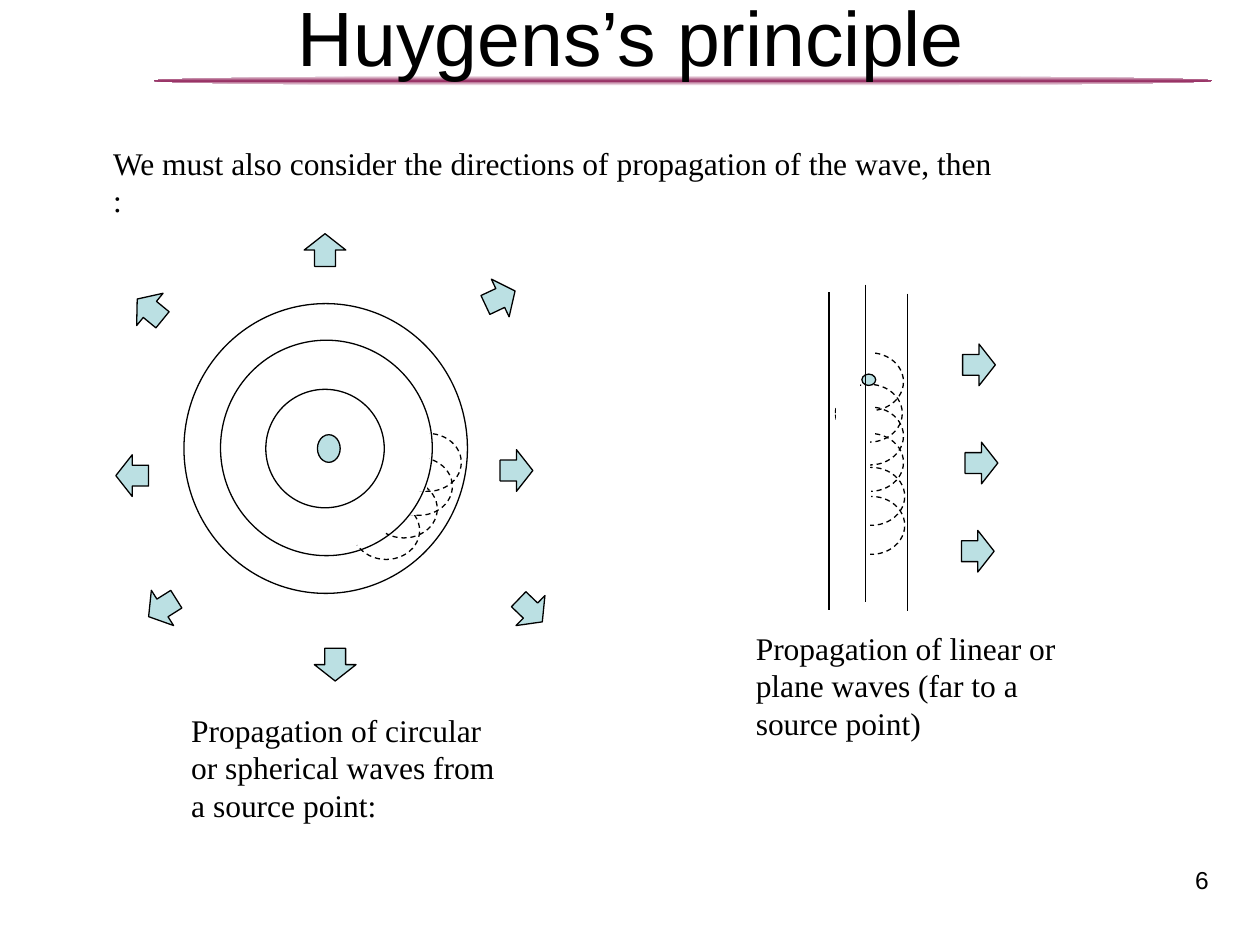
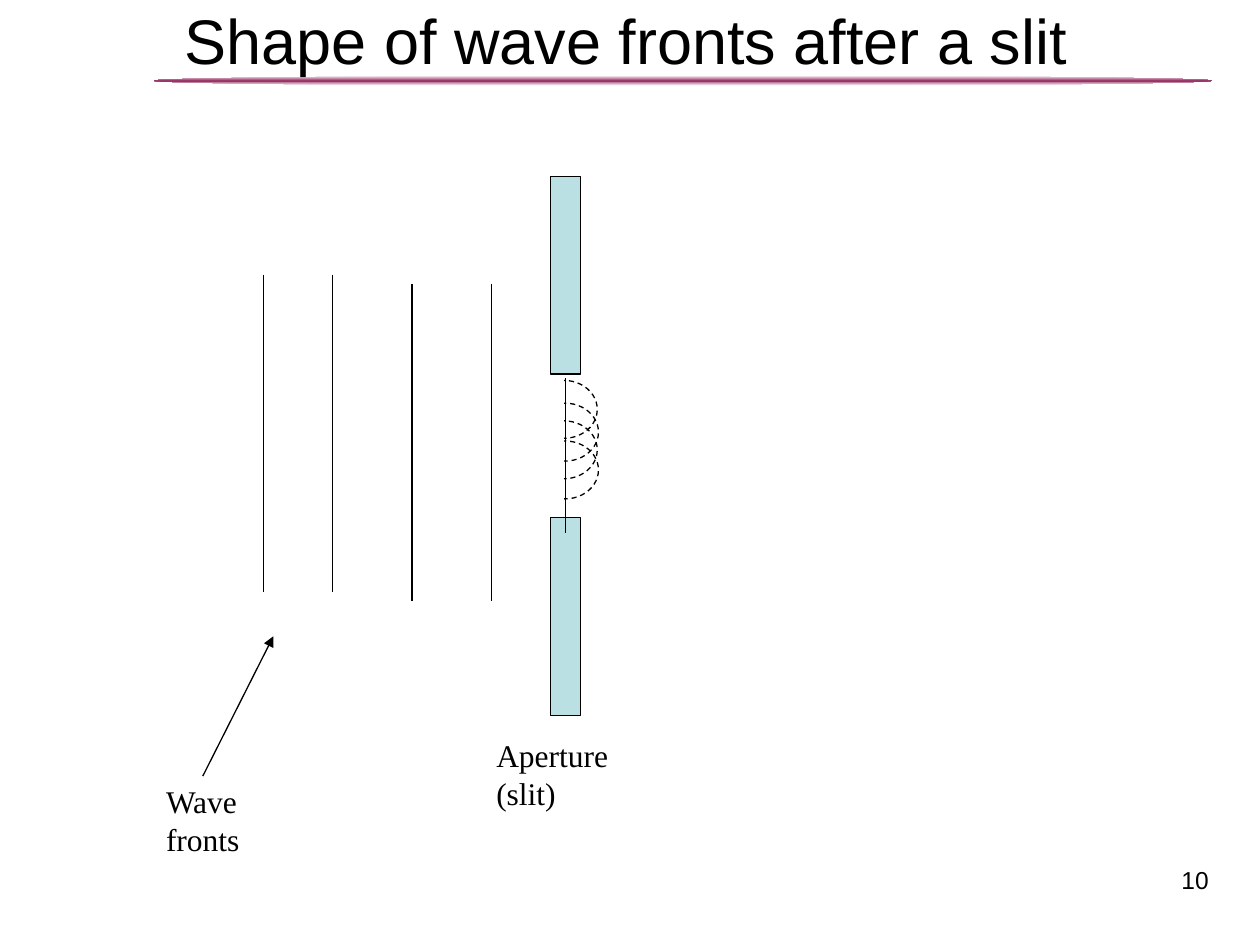
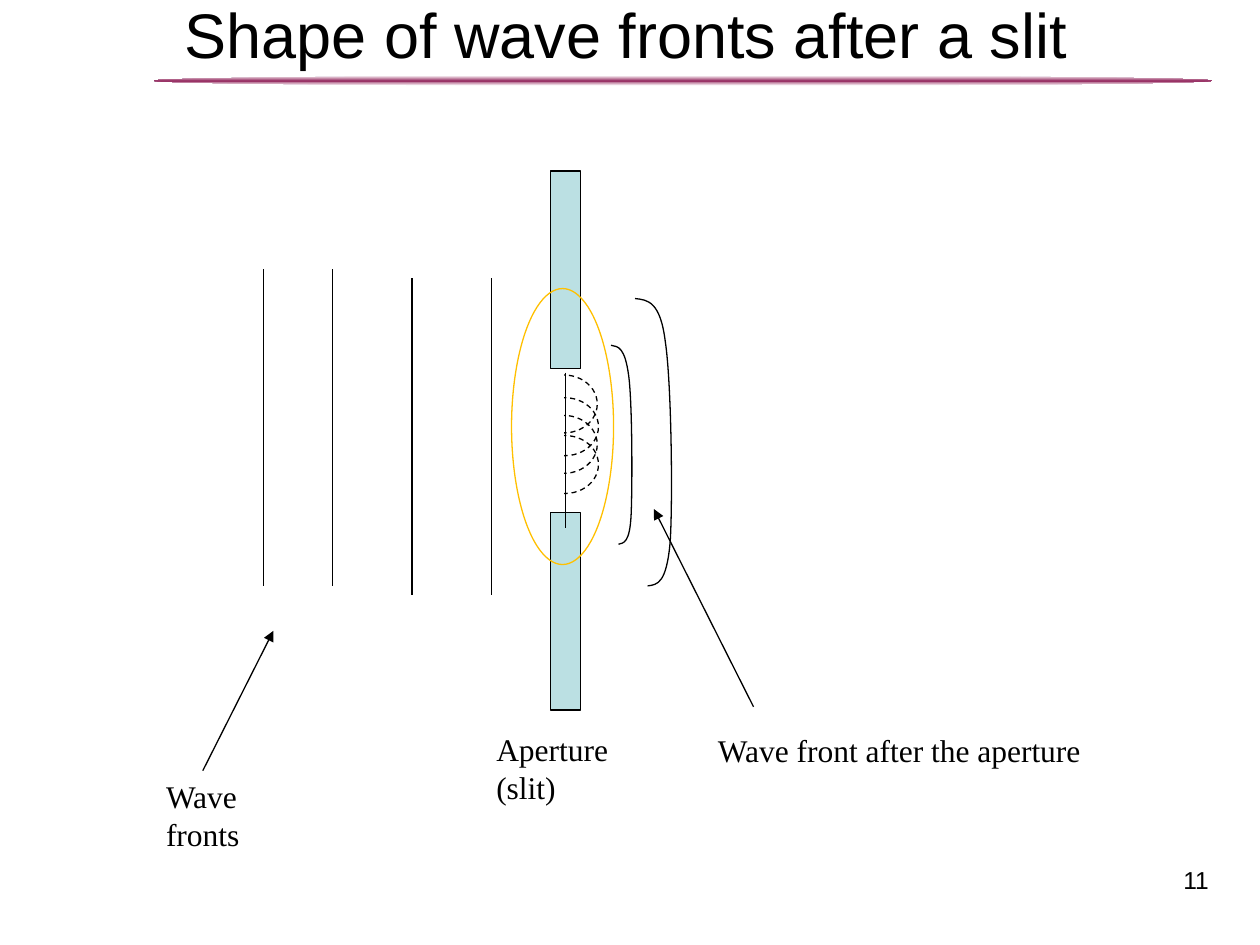
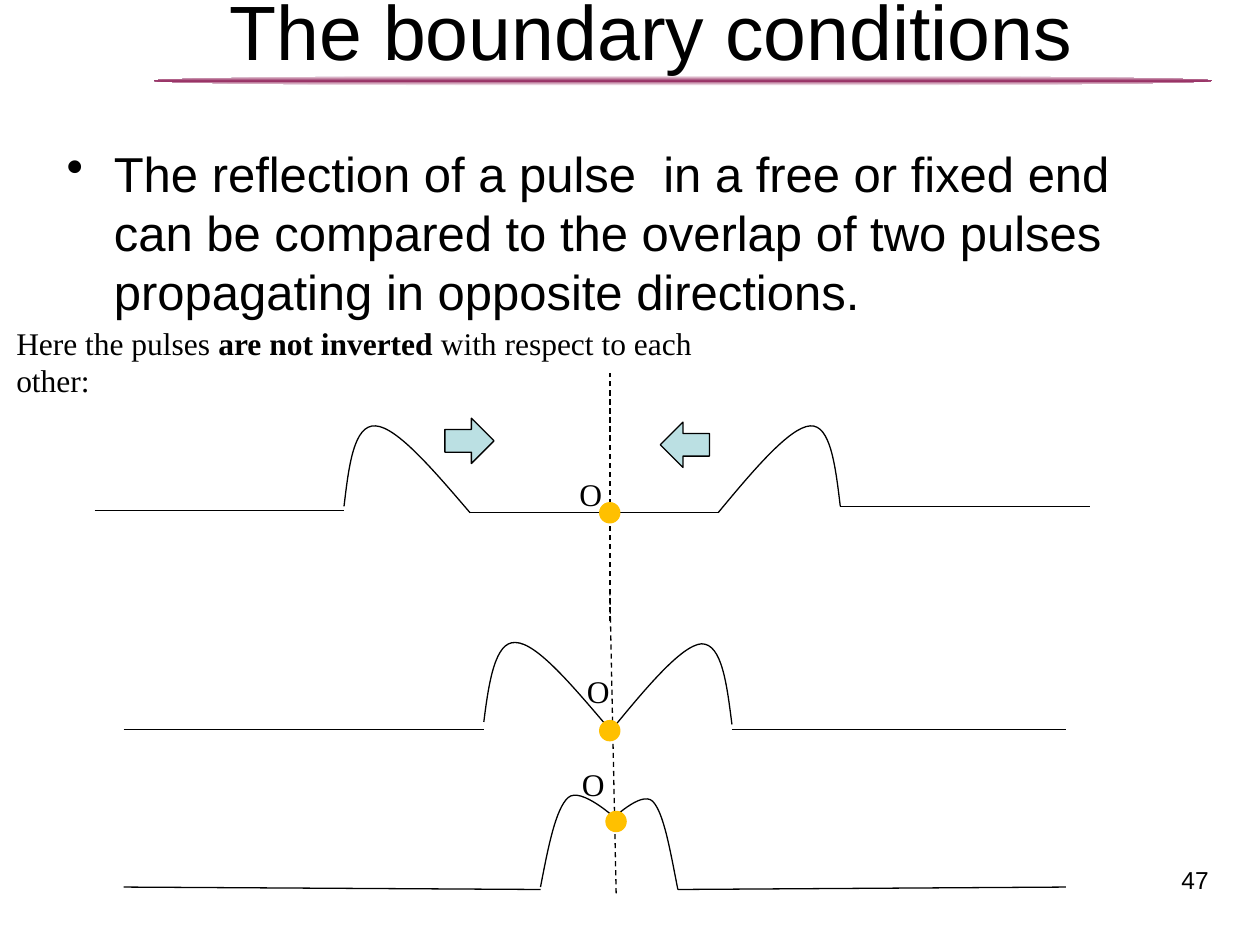
import copy
from dataclasses import dataclass

import pptx
import pptx.dml.color
import pptx.enum.dml
import pptx.enum.shapes
import pptx.enum.text
import pptx.oxml
import pptx.oxml.ns
import pptx.shapes.autoshape
import pptx.shapes.base
import pptx.slide
import pptx.text.text
import pptx.util
from pptx.dml.color import RGBColor
from pptx.util import Pt

# Shared look
BLACK = RGBColor(0x00, 0x00, 0x00)
WHITE = RGBColor(0xFF, 0xFF, 0xFF)
PLUM = RGBColor(0x99, 0x33, 0x66)
PALE_BLUE = RGBColor(0xBB, 0xE0, 0xE3)
AMBER = RGBColor(0xFF, 0xC0, 0x00)
SANS = "Arial"
SERIF = "Times New Roman"
LINE_WIDTH = Pt(0.75)
LABEL_HEIGHT = 28.8

MSO_SHAPE = pptx.enum.shapes.MSO_SHAPE
PP_ALIGN = pptx.enum.text.PP_ALIGN
Point = tuple[float, float]


@dataclass(frozen=True)
class Box:
    """A frame in points."""
    left: float
    top: float
    width: float
    height: float

    def lengths(self) -> tuple[int, int, int, int]:
        return Pt(self.left), Pt(self.top), Pt(self.width), Pt(self.height)


@dataclass(frozen=True)
class Look:
    """Fill and outline of a shape."""
    fill: RGBColor | None = None
    line: RGBColor = BLACK
    dashed: bool = False


@dataclass(frozen=True)
class Segment:
    """A straight line in points."""
    x1: float
    y1: float
    x2: float
    y2: float
    dashed: bool = False
    arrow: bool = False


@dataclass(frozen=True)
class Arrow:
    """A block arrow: corner of its unrotated frame, and rotation."""
    left: float
    top: float
    rotation: float = 0


@dataclass(frozen=True)
class Part:
    """A run of text."""
    text: str
    bold: bool = False


OUTLINE = Look()
DASHED = Look(dashed=True)
FILLED = Look(fill=PALE_BLUE)
COVER = Look(fill=WHITE, line=WHITE)
DOT = Look(fill=AMBER, line=AMBER)
TITLE_RULE = Box(87.8, 43.2, 604.8, 5.8)
PAGE_NUMBER = Box(530, 491, 167.8, 32.4)


# Drawing functions
def draw_shape(slide: pptx.slide.Slide, kind: MSO_SHAPE, box: Box, look: Look,
               rotation: float = 0) -> pptx.shapes.autoshape.Shape:
    shape = slide.shapes.add_shape(kind, *box.lengths())
    shape.rotation = rotation
    style_outline(shape, look)
    return shape


def style_outline(shape: pptx.shapes.autoshape.Shape, look: Look) -> None:
    shape.shadow.inherit = False
    if look.fill is None:
        shape.fill.background()
    else:
        shape.fill.solid()
        shape.fill.fore_color.rgb = look.fill
    style_line(shape, look.line, look.dashed)


def style_line(shape: pptx.shapes.base.BaseShape, color: RGBColor, dashed: bool) -> None:
    shape.line.color.rgb = color
    shape.line.width = LINE_WIDTH
    if dashed:
        shape.line.dash_style = pptx.enum.dml.MSO_LINE.DASH


def draw_segment(slide: pptx.slide.Slide, segment: Segment) -> None:
    connector = slide.shapes.add_connector(
        pptx.enum.shapes.MSO_CONNECTOR.STRAIGHT,
        Pt(segment.x1), Pt(segment.y1), Pt(segment.x2), Pt(segment.y2))
    style_line(connector, BLACK, segment.dashed)
    if segment.arrow:
        tail = pptx.oxml.parse_xml(
            f'<a:tailEnd {pptx.oxml.ns.nsdecls("a")} type="triangle"/>')
        connector.line._get_or_add_ln().append(tail)
    connector._element.spPr.append(
        pptx.oxml.parse_xml(f'<a:effectLst {pptx.oxml.ns.nsdecls("a")}/>'))


def draw_curve(slide: pptx.slide.Slide, points: list[Point]) -> None:
    """Draw a start point followed by groups of three Bezier points."""
    start, *controls = [(Pt(x), Pt(y)) for x, y in points]
    builder = slide.shapes.build_freeform(*start)
    builder.add_line_segments(controls, close=False)
    shape = builder.convert_to_shape()
    style_outline(shape, OUTLINE)
    # Turn each three straight steps into one cubic step
    steps = shape._element.spPr.findall(".//" + pptx.oxml.ns.qn("a:lnTo"))
    for first in range(0, len(steps), 3):
        cubic = pptx.oxml.parse_xml(
            f'<a:cubicBezTo {pptx.oxml.ns.nsdecls("a")}/>')
        steps[first].addprevious(cubic)
        for step in steps[first:first + 3]:
            cubic.append(step[0])
            step.getparent().remove(step)


def draw_text(slide: pptx.slide.Slide, box: Box, parts: list[Part],
              size: float = 18, font: str = SERIF,
              align: PP_ALIGN = PP_ALIGN.LEFT) -> pptx.text.text._Paragraph:
    frame = slide.shapes.add_textbox(*box.lengths()).text_frame
    frame.word_wrap = True
    paragraph = frame.paragraphs[0]
    paragraph.alignment = align
    for part in parts:
        run = paragraph.add_run()
        run.text = part.text
        run.font.size = Pt(size)
        run.font.name = font
        run.font.bold = part.bold
        run.font.color.rgb = BLACK
    return paragraph


def draw_label(slide: pptx.slide.Slide, left: float, top: float, width: float,
               text: str, height: float = LABEL_HEIGHT) -> None:
    draw_text(slide, Box(left, top, width, height), [Part(text)])


def draw_arrows(slide: pptx.slide.Slide, arrows: list[Arrow],
                width: float, height: float) -> None:
    for arrow in arrows:
        draw_shape(slide, MSO_SHAPE.RIGHT_ARROW,
                   Box(arrow.left, arrow.top, width, height), FILLED, arrow.rotation)


def draw_wavelets(slide: pptx.slide.Slide, corners: list[Point]) -> None:
    for left, top in corners:
        draw_shape(slide, MSO_SHAPE.OVAL, Box(left, top, 38.2, 33.1), DASHED)


def draw_covers(slide: pptx.slide.Slide, boxes: list[Box]) -> None:
    for box in boxes:
        draw_shape(slide, MSO_SHAPE.RECTANGLE, box, COVER)


def add_slide(presentation, title: str, left: float, top: float,
              size: float, number: str) -> pptx.slide.Slide:
    """Add a blank slide with rule, page number and title."""
    slide = presentation.slides.add_slide(presentation.slide_layouts[6])
    rule = draw_shape(slide, MSO_SHAPE.OVAL, TITLE_RULE, OUTLINE)
    rule.line.fill.background()
    rule.fill.gradient()
    rule.fill.gradient_angle = 90
    first, last = rule.fill.gradient_stops
    first.color.rgb = last.color.rgb = WHITE
    first.position, last.position = 0, 1
    stops = rule._element.spPr.find(".//" + pptx.oxml.ns.qn("a:gsLst"))
    stops.insert(1, copy.deepcopy(stops[0]))
    middle = rule.fill.gradient_stops[1]
    middle.position = 0.5
    middle.color.rgb = PLUM
    draw_text(slide, PAGE_NUMBER, [Part(number)], 14, SANS, PP_ALIGN.RIGHT)
    draw_text(slide, Box(left, top, 648, 90), [Part(title)], size, SANS, PP_ALIGN.CENTER)
    return slide


# Slide: directions of propagation
def build_huygens(presentation) -> None:
    slide = add_slide(presentation, "Huygens’s principle", 36.7, -9.4, 44, "6")
    draw_label(slide, 57.6, 78.5, 519.8,
               "We must also consider the directions of propagation of the wave, then :")
    draw_label(slide, 102.2, 402.5, 198.7,
               "Propagation of circular or spherical waves from a source point:", 72.7)
    draw_label(slide, 424.8, 355.7, 198.7,
               "Propagation of linear or plane waves (far to a source point)", 72.7)

    # Circular waves, with the inner halves of the wavelets covered
    draw_shape(slide, MSO_SHAPE.OVAL, Box(181.4, 248.4, 13, 15.8), FILLED)
    draw_shape(slide, MSO_SHAPE.OVAL, Box(105.1, 173.5, 162, 165.6), OUTLINE)
    draw_wavelets(slide, [(225.4, 247.7), (211.7, 274.3), (201.6, 286.6), (220.3, 261.4)])
    small_covers = [(218.9, 270), (223.9, 275.8), (192.2, 293.8),
                    (203.8, 284.4), (213.1, 275.8)]
    draw_covers(slide, [
        Box(224.6, 245.5, 20.2, 20.2), Box(223.2, 258.5, 20.2, 21.6),
        Box(218.9, 272.9, 18.7, 20.9), Box(211, 280.8, 15.8, 18),
        *(Box(left, top, 12.2, 17.3) for left, top in small_covers)])
    draw_shape(slide, MSO_SHAPE.OVAL, Box(126, 194.4, 121, 123.1), OUTLINE)
    draw_covers(slide, [Box(208.1, 287.3, 12.2, 17.3)])
    draw_shape(slide, MSO_SHAPE.OVAL, Box(151.9, 222.5, 67.7, 67.7), OUTLINE)

    # Plane waves
    draw_wavelets(slide, [(478.8, 283.7), (478.8, 267.1), (478.1, 247.7),
                          (478.1, 232.6), (477.4, 219.6), (478.1, 201.6)])
    plane_covers = [(478.1, 195.1), (478.1, 227.5), (476.6, 247), (477.4, 267.8),
                    (471.6, 241.2), (476.6, 288), (476.6, 304.6)]
    draw_covers(slide, [Box(left, top, 20.2, 21.6) for left, top in plane_covers])
    draw_covers(slide, [Box(475.2, 213.8, 15.8, 17.3)])
    draw_shape(slide, MSO_SHAPE.OVAL, Box(492.5, 213.8, 7.9, 6.5), FILLED)
    for x, top in [(518.4, 167.8), (494.6, 162.7), (473.8, 167)]:
        draw_segment(slide, Segment(x, top, x, top + 181.4))

    # Directions
    draw_arrows(slide, [
        Arrow(285.8, 257), Arrow(276.5, 158.4, 334.8), Arrow(176.4, 131, 270),
        Arrow(76.3, 164.9, 219.3), Arrow(66.2, 259.9, 180), Arrow(83.5, 335.5, 147.8),
        Arrow(293.8, 337, 43.8), Arrow(182.2, 367.9, 90),
        Arrow(550.1, 196.6), Arrow(551.5, 252.7), Arrow(549.4, 303.1)], 18.7, 23.8)


# Slides: waves through a slit
def build_slit(presentation, number: str, shift: float) -> pptx.slide.Slide:
    slide = add_slide(presentation, "Shape of wave fronts after a slit",
                      33.8, shift - 2.9, 36, number)
    for x, top in [(150.5, 157), (190.1, 157), (235.4, 162), (280.8, 162)]:
        draw_segment(slide, Segment(x, top + shift, x, top + shift + 181.2))
    for top in (100.8, 295.9):
        draw_shape(slide, MSO_SHAPE.RECTANGLE, Box(314.6, top + shift, 17.3, 113), FILLED)
    wavelets = [(303.1, 217.4), (303.8, 230.4), (303.1, 240.5), (303.8, 252)]
    draw_wavelets(slide, [(left, top + shift) for left, top in wavelets])
    draw_covers(slide, [Box(302.4, 216 + shift, 19.4, 72)])
    draw_segment(slide, Segment(323.3, 216 + shift, 323.3, 304.6 + shift))
    draw_segment(slide, Segment(115.9, 443.5 + shift, 156.2, 363.6 + shift, arrow=True))
    draw_label(slide, 276.5, 416.9 + shift, 113.8, "Aperture (slit)")
    draw_label(slide, 87.8, 443.5 + shift, 99.4, "Wave fronts")
    return slide


def build_after_slit(presentation) -> None:
    slide = build_slit(presentation, "11", -3.1)
    draw_shape(slide, MSO_SHAPE.OVAL, Box(292.3, 164.9, 58.3, 157.7), Look(line=AMBER))
    draw_curve(slide, [
        (349.2, 197.3), (353.5, 198), (357.1, 198.7), (359.3, 214.6),
        (361.4, 230.4), (361.4, 277.9), (360.7, 293.8),
        (360, 310.3), (356.4, 310.3), (353.5, 311)])
    draw_curve(slide, [
        (362.9, 170.6), (370.1, 171.4), (377.3, 172.1), (380.2, 195.1),
        (383.8, 218.9), (384.5, 286.6), (383, 309.6),
        (380.9, 333.4), (375.8, 334.1), (370.1, 334.8)])
    draw_segment(slide, Segment(430.6, 403.9, 373.7, 290.9, arrow=True))
    draw_label(slide, 403.2, 414, 223.2, "Wave front after the aperture")


# Slide: pulses meeting at a boundary
def build_boundary(presentation) -> None:
    slide = add_slide(presentation, "The boundary conditions", 48.2, -13, 44, "47")
    statement = draw_text(slide, Box(31, 78.5, 648, 356.4), [Part(
        "The reflection of a pulse  in a free or fixed end can be compared to "
        "the overlap of two pulses propagating in opposite directions.")], 28, SANS)
    properties = statement._p.get_or_add_pPr()
    properties.set("marL", str(Pt(27)))
    properties.set("indent", str(-Pt(27)))
    properties.append(pptx.oxml.parse_xml(
        f'<a:buChar {pptx.oxml.ns.nsdecls("a")} char="•"/>'))

    # String at rest and the dashed boundary
    for segment in [
            Segment(268.6, 293, 411.1, 293), Segment(54, 291.6, 196.6, 291.6),
            Segment(480.2, 289.4, 622.8, 289.4),
            Segment(70.6, 416.9, 276.5, 416.9), Segment(418.3, 416.9, 609.1, 416.9),
            Segment(70.6, 506.9, 308.9, 508.3), Segment(387.4, 508.3, 609.1, 506.9),
            Segment(348.5, 355, 348.5, 213.1, dashed=True),
            Segment(352.1, 510.5, 348.5, 337.7, dashed=True)]:
        draw_segment(slide, segment)

    # Pulses: apart, touching, overlapping
    for pulse in [
            [(196.6, 289.4), (199.4, 265.7), (202.3, 242.6), (214.6, 243.4),
             (226.8, 244.1), (247.7, 268.6), (268.6, 293)],
            [(480.2, 289.4), (477.4, 265.7), (474.5, 242.6), (463, 243.4),
             (451.4, 244.1), (430.6, 268.6), (410.4, 293)],
            [(276.5, 412.6), (279.4, 389.5), (283, 366.5), (294.5, 367.2),
             (306.7, 367.2), (327.6, 392.4), (348.5, 416.9)],
            [(418.3, 414), (415.4, 391), (412.6, 367.9), (401, 367.9),
             (389.5, 368.6), (368.6, 393.8), (348.5, 418.3)],
            [(308.9, 506.9), (313.2, 484.6), (317.5, 462.2), (324.7, 455.8),
             (331.9, 449.3), (352.1, 468), (352.1, 468)],
            [(387.4, 508.3), (383, 486), (379.4, 464.4), (373, 457.9),
             (366.5, 451.4), (348.5, 469.4), (348.5, 469.4)]]:
        draw_curve(slide, pulse)
    draw_arrows(slide, [Arrow(254.2, 239), Arrow(377.3, 241.2, 180)], 28.1, 25.9)

    # Meeting points
    for left, top in [(342.7, 287.3), (342.7, 411.8), (346.3, 463.7)]:
        draw_shape(slide, MSO_SHAPE.OVAL, Box(left, top, 11.5, 11.5), DOT)
    for left, top in [(324, 267.8), (328.3, 380.2), (325.4, 433.4)]:
        draw_label(slide, left, top, 28.8, "O")
    draw_text(slide, Box(2.2, 181.4, 445.7, LABEL_HEIGHT), [
        Part("Here the pulses "), Part("are not inverted ", bold=True),
        Part("with respect to each other:")])


def main() -> None:
    presentation = pptx.Presentation()
    presentation.slide_width, presentation.slide_height = Pt(720), Pt(540)
    build_huygens(presentation)
    build_slit(presentation, "10", 0)
    build_after_slit(presentation)
    build_boundary(presentation)
    presentation.save("out.pptx")


if __name__ == "__main__":
    main()
